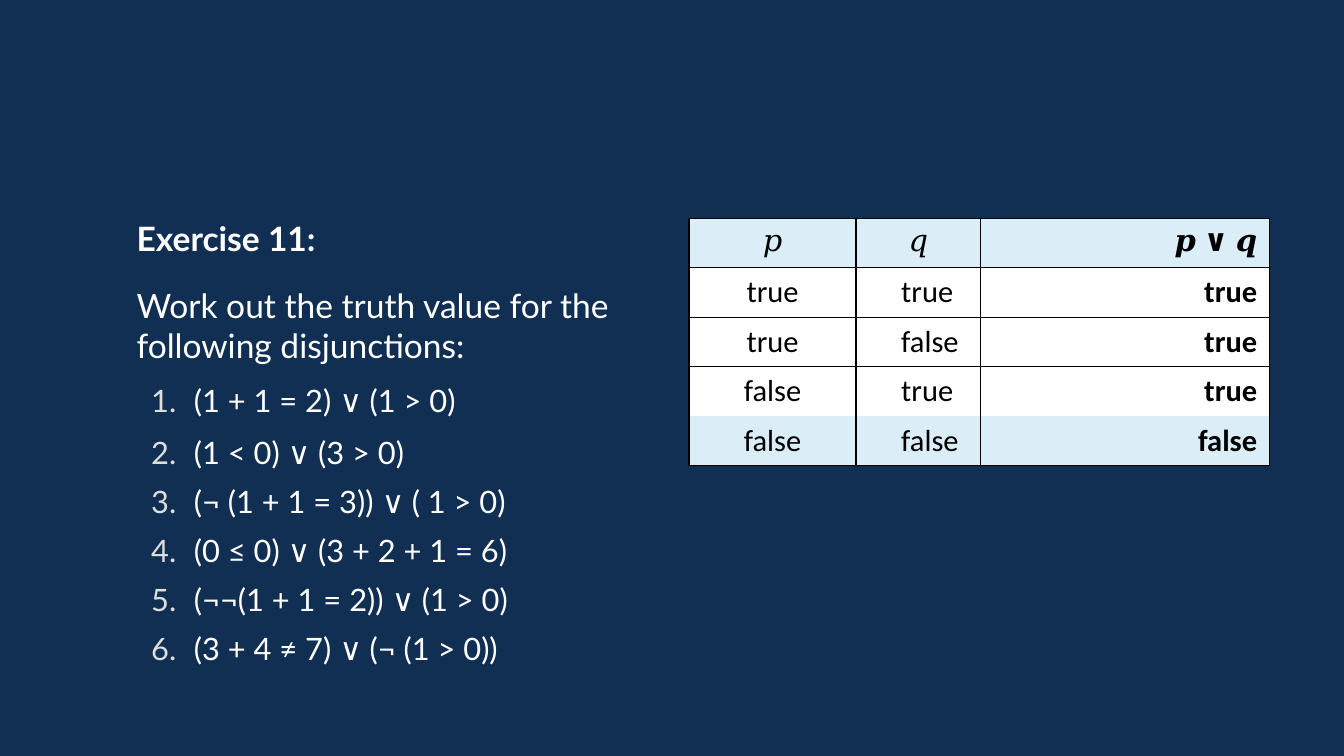
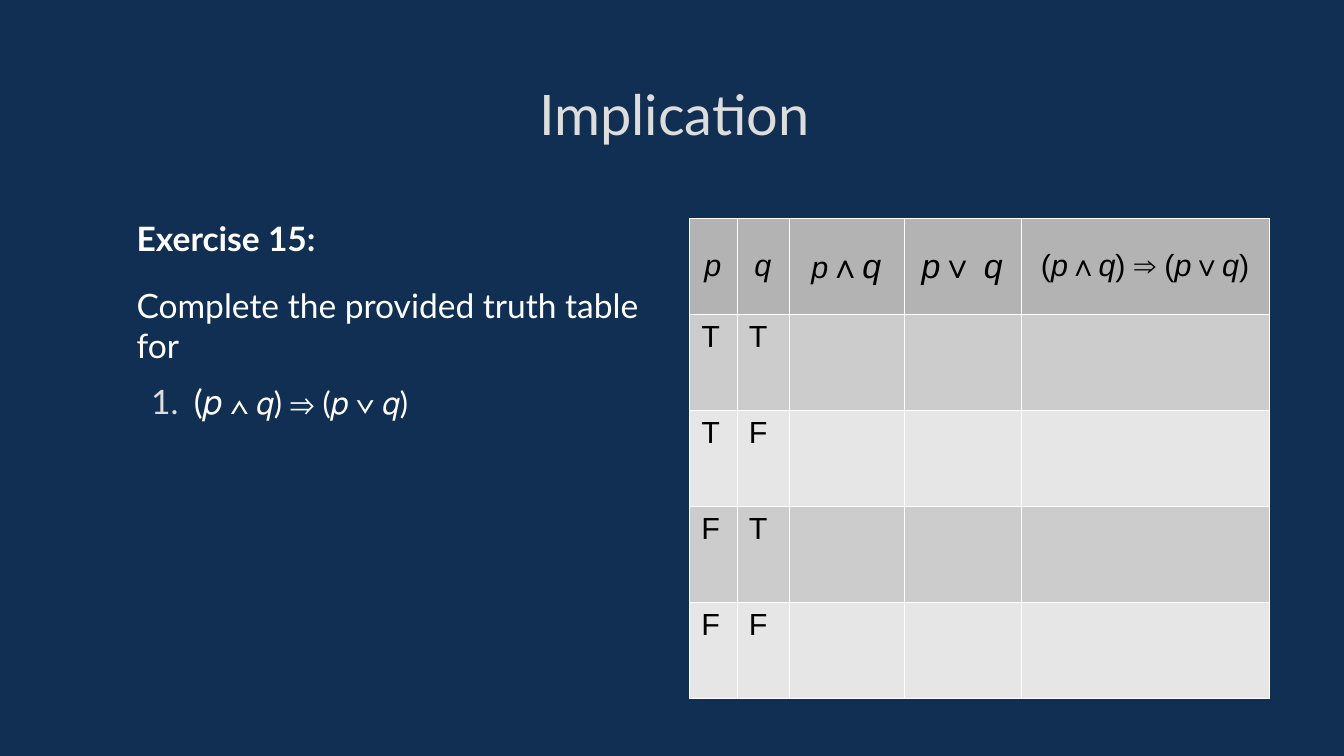
"""Build two exercise slides on truth tables for disjunction and implication."""
from itertools import groupby

from lxml.etree import SubElement
from pptx import Presentation
from pptx.dml.color import RGBColor
from pptx.enum.text import MSO_ANCHOR as Anchor, PP_ALIGN as Align
from pptx.oxml.ns import qn
from pptx.util import Inches, Pt

NAVY = RGBColor(0x11, 0x2F, 0x52)
WHITE = RGBColor(0xFF, 0xFF, 0xFF)
BLACK = RGBColor(0x00, 0x00, 0x00)
SILVER = RGBColor(0xDD, 0xDD, 0xDD)
PALE_BLUE = RGBColor(0xDB, 0xEE, 0xF8)
HEAD_GREY = RGBColor(0xB3, 0xB3, 0xB3)
DARK_BAND = RGBColor(0xCC, 0xCC, 0xCC)
LIGHT_BAND = RGBColor(0xE6, 0xE6, 0xE6)

WIDTH, HEIGHT = 11.02, 6.2
MARGIN, GUTTER, TOP = 0.65, 0.24, 1.79
CONTENT = WIDTH - 2 * MARGIN + 0.04
COLUMN = (CONTENT - GUTTER) / 2
RIGHT = MARGIN + COLUMN + GUTTER
BODY, ITEM, CELL = 19.8, 18.2, 18


def set_font(para, name, size, colour, bold=False):
    font = para.font
    font.name, font.size, font.bold = name, Pt(size), bold
    font.color.rgb = colour


def add_grid(page, widths, row_height, fills, colour, weight, open_row=None):
    rows = len(fills)
    frame = page.shapes.add_table(rows, len(widths), Inches(RIGHT), Inches(TOP),
                                  Inches(COLUMN), Inches(row_height * rows))
    table = frame.table
    table.first_row = table.horz_banding = False
    for column, width in zip(table.columns, widths):
        column.width = Inches(width)
    for index, (row, fill) in enumerate(zip(table.rows, fills)):
        row.height = Inches(row_height)
        for cell in row.cells:
            props = cell._tc.get_or_add_tcPr()
            for side in "LRTB":
                line = SubElement(props, qn(f"a:ln{side}"), w=str(Pt(weight)))
                if (side, index) in (("T", open_row), ("B", (open_row or 0) - 1)):
                    SubElement(line, qn("a:noFill"))
                else:
                    paint = SubElement(line, qn("a:solidFill"))
                    SubElement(paint, qn("a:srgbClr"), val=str(colour))
            cell.fill.solid()
            cell.fill.fore_color.rgb = fill
    return table


deck = Presentation()
deck.slide_width, deck.slide_height = Inches(WIDTH), Inches(HEIGHT)
backdrop = deck.slide_master.background.fill
backdrop.solid()
backdrop.fore_color.rgb = NAVY

exercises = [
    ("", "Exercise 11:", "Work out the truth value for the following disjunctions:", [
        [("(1 + 1 = 2) ∨ (1 > 0)", ITEM)],
        [("(1 < 0) ∨ (3 > 0)", ITEM)],
        [("(¬ (1 + 1 = 3)) ∨ ( 1 > 0)", ITEM)],
        [("(0 ≤ 0) ∨ (3 + 2 + 1 = 6)", ITEM)],
        [("(¬¬(1 + 1 = 2)) ∨ (1 > 0)", ITEM)],
        [("(3 + 4 ≠ 7) ∨ (¬ (1 > 0))", ITEM)],
    ]),
    ("Implication", "Exercise 15:", "Complete the provided truth table for", [
        [("(𝑝 ", BODY), ("∧ 𝑞) ⇒ (𝑝 ∨ 𝑞)", ITEM)],
    ]),
]

pages = []
for title, heading, task, items in exercises:
    page = deck.slides.add_slide(deck.slide_layouts[6])
    pages.append(page)
    places = [(TOP, COLUMN, 3.58)] + ([(0.38, CONTENT, 1.09)] if title else [])
    boxes = []
    for top, width, height in places:
        box = page.shapes.add_textbox(Inches(MARGIN), Inches(top), Inches(width), Inches(height))
        frame = box.text_frame
        frame.word_wrap = True
        frame.margin_left = frame.margin_right = frame.margin_top = frame.margin_bottom = 0
        boxes.append(frame)
    if title:
        boxes[1].vertical_anchor = Anchor.MIDDLE
        para = boxes[1].paragraphs[0]
        para.text, para.alignment = title, Align.CENTER
        set_font(para, "Lato", 33, SILVER)

    body = boxes[0]
    for index, text in enumerate((heading, task)):
        para = body.add_paragraph() if index else body.paragraphs[0]
        para.text = text
        para._p.get_or_add_pPr().set("marL", str(Inches(0.47)))
        if index:
            para.space_before = Pt(15.6)
        set_font(para, "Lato", BODY, WHITE, bold=not index)
    for index, spans in enumerate(items):
        para = body.add_paragraph()
        props = para._p.get_or_add_pPr()
        props.set("marL", str(Inches(0.94)))
        props.set("indent", str(Inches(-0.35)))
        tint = SubElement(props, qn("a:buClr"))
        SubElement(tint, qn("a:srgbClr"), val=str(SILVER))
        SubElement(props, qn("a:buAutoNum"), type="arabicPeriod")
        para.space_before = Pt(9.3)
        if index > 1:
            para.line_spacing = 0.9
        set_font(para, "Lato", spans[0][1], WHITE)
        for text, size in spans:
            span = para.add_run()
            span.text = text
            if size != spans[0][1]:
                span.font.size = Pt(size)

disjunction = [
    ("𝑝", "𝑞", "𝒑 ∨ 𝒒"),
    ("true", "true", "true"),
    ("true", "false", "true"),
    ("false", "true", "true"),
    ("false", "false", "false"),
]
table = add_grid(pages[0], (1.37, 1.02, 2.37), 0.406,
                 [PALE_BLUE] + [WHITE] * 3 + [PALE_BLUE], BLACK, 0.96, open_row=4)
for r, values in enumerate(disjunction):
    for c, value in enumerate(values):
        para = table.cell(r, c).text_frame.paragraphs[0]
        para.text = value
        if r and c == 1:
            para._p.get_or_add_pPr().set("marL", str(Inches(0.27)))
        else:
            para.alignment = Align.RIGHT if c == 2 else Align.CENTER
        set_font(para, "Calibri" if r else "Times New Roman", CELL, BLACK, bold=r > 0 and c == 2)

formulas = [
    [("p", 18)],
    [("q", 18)],
    [("p", 18), ("∧q", 20)],
    [("p∨ q", 20)],
    [("(p∧q) ⇒ (p∨q)", 18)],
]
table = add_grid(pages[1], (0.39, 0.43, 0.94, 0.96, 2.04), 0.787,
                 [HEAD_GREY] + [DARK_BAND, LIGHT_BAND] * 2, WHITE, 0.06)
for c, spans in enumerate(formulas):
    cell = table.cell(0, c)
    cell.vertical_anchor = Anchor.MIDDLE
    para = cell.text_frame.paragraphs[0]
    para.alignment = Align.CENTER
    set_font(para, "Arial", CELL, BLACK)
    for text, size in spans:
        for is_letter, symbols in groupby(text, str.isalpha):
            span = para.add_run()
            span.text = "".join(symbols)
            span.font.italic = is_letter
            if size != CELL:
                span.font.size = Pt(size)
for r, values in enumerate(("TT", "TF", "FT", "FF"), 1):
    for c, value in enumerate(values):
        para = table.cell(r, c).text_frame.paragraphs[0]
        para.text = value
        set_font(para, "Arial", CELL, BLACK)

deck.save("out.pptx")
